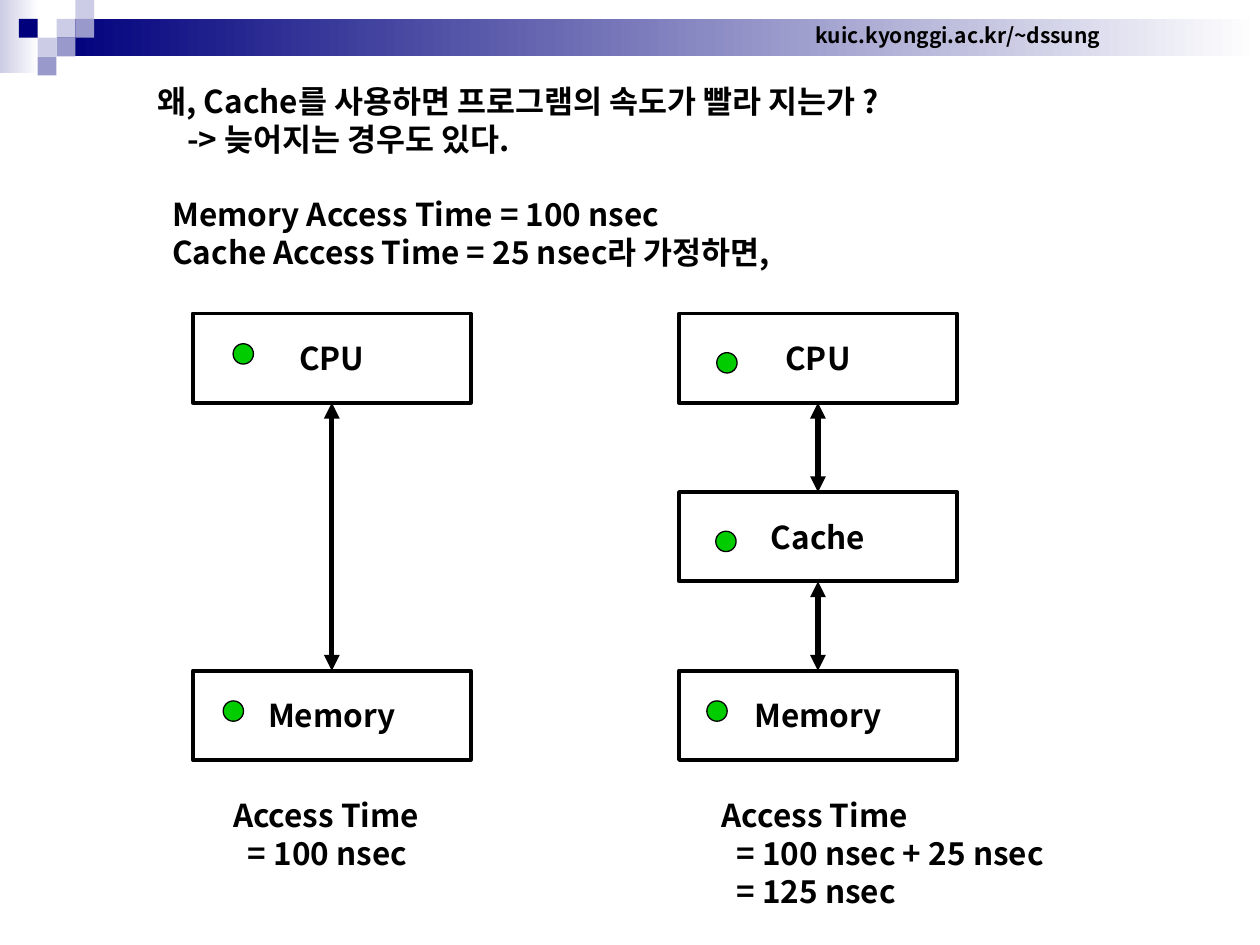
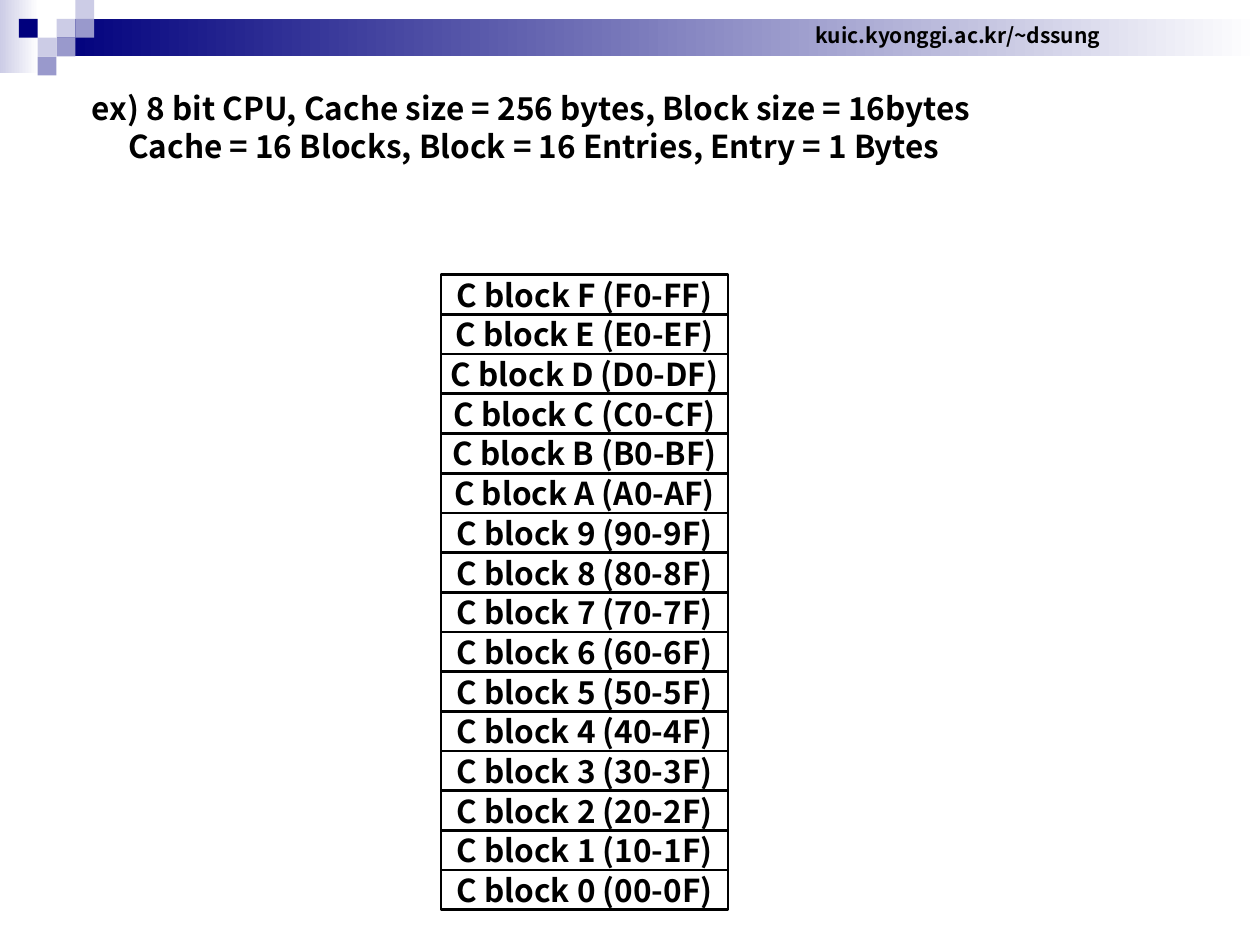
from lxml.etree import SubElement
from pptx import Presentation
from pptx.dml.color import RGBColor
from pptx.enum.shapes import MSO_CONNECTOR as LINK, MSO_SHAPE as KIND
from pptx.enum.text import MSO_ANCHOR as ANCHOR, MSO_AUTO_SIZE as AUTO, PP_ALIGN as ALIGN
from pptx.oxml.ns import qn
from pptx.util import Cm, Pt

BLACK = RGBColor(0x00, 0x00, 0x00)
WHITE = RGBColor(0xFF, 0xFF, 0xFF)
NAVY = RGBColor(0x00, 0x00, 0x7D)
LILAC = RGBColor(0xCC, 0xCC, 0xE6)
MAUVE = RGBColor(0x99, 0x99, 0xCC)
GREEN = RGBColor(0x00, 0xCC, 0x00)
FONT = "Noto Sans CJK KR"
GAP = 21.6
TILE = 0.38
NODE_H = 1.8


def write(frame, lines, size=18, align=ALIGN.LEFT):
    frame.word_wrap = False
    frame.auto_size = AUTO.NONE
    for i, (text, inset, before) in enumerate(lines):
        para = frame.paragraphs[0] if i == 0 else frame.add_paragraph()
        para.text = text
        para.alignment = align
        para.space_before = Pt(before)
        props = para._p.get_or_add_pPr()
        props.set("marL", str(Cm(inset)))
        props.set("indent", "0")
        SubElement(props, qn("a:buNone"))
        font = para.font
        font.size = Pt(size)
        font.bold = True
        font.color.rgb = BLACK
        font.name = FONT
        SubElement(props.find(qn("a:defRPr")), qn("a:ea"), typeface=FONT)


def add_shape(slide, kind, x, y, w, h, fill, line=0):
    shape = slide.shapes.add_shape(kind, Cm(x), Cm(y), Cm(w), Cm(h))
    shape.shadow.inherit = False
    if isinstance(fill, list):
        shape.fill.gradient()
        shape.fill.gradient_angle = 180
        for stop, color, at in zip(shape.fill.gradient_stops, fill, (0, 1)):
            stop.color.rgb = color
            stop.position = at
    else:
        shape.fill.solid()
        shape.fill.fore_color.rgb = fill
    if line:
        shape.line.color.rgb = BLACK
        shape.line.width = Pt(line)
    else:
        shape.line.fill.background()
    return shape


def add_node(slide, text, x, y, w, h, line):
    node = add_shape(slide, KIND.RECTANGLE, x, y, w, h, WHITE, line)
    node.text_frame.vertical_anchor = ANCHOR.MIDDLE
    write(node.text_frame, [(text, 0, 0)], align=ALIGN.CENTER)
    return node


def add_note(slide, x, y, w, h, lines, size=18, align=ALIGN.LEFT):
    note = slide.shapes.add_textbox(Cm(x), Cm(y), Cm(w), Cm(h))
    write(note.text_frame, lines, size, align)
    return note


def add_arrow(slide, top, low):
    arrow = slide.shapes.add_connector(LINK.STRAIGHT, 0, 0, 0, 0)
    arrow.begin_connect(top, 2)
    arrow.end_connect(low, 0)
    arrow.line.color.rgb = BLACK
    arrow.line.width = Pt(3)
    for end in ("headEnd", "tailEnd"):
        SubElement(arrow.line._get_or_add_ln(), qn("a:" + end), type="triangle")
    SubElement(arrow._element.spPr, qn("a:effectLst"))


def fill_holder(holder, x, y, w, h, lines):
    holder.left, holder.top, holder.width, holder.height = Cm(x), Cm(y), Cm(w), Cm(h)
    frame = holder.text_frame
    frame.vertical_anchor = ANCHOR.TOP
    frame.margin_top = frame.margin_bottom = 0
    write(frame, lines)


def add_head(slide, x, y, w, title, lines, body_h):
    fill_holder(slide.shapes.title, x, y, w, 0.76, [(title, 0, 0)])
    fill_holder(slide.placeholders[1], x, y + 0.76, w, body_h, lines)


def add_band(slide, layout):
    parts = [
        add_shape(slide, KIND.RECTANGLE, 0, 0, 0.78, 1.48, [WHITE, LILAC]),
        add_shape(slide, KIND.RECTANGLE, 1.14, 0.38, 24.26, 0.76, [WHITE, NAVY]),
    ]
    tiles = [(3, 1, LILAC), (4, 0, LILAC), (4, 1, MAUVE), (2, 2, LILAC),
             (1, 1, NAVY), (3, 2, MAUVE), (2, 3, MAUVE)]
    for col, row, color in tiles:
        parts.append(add_shape(slide, KIND.RECTANGLE, col * TILE, row * TILE,
                               TILE, TILE, color))
    link = add_note(slide, 16.18, 0.33, 6.27, 0.76,
                    [("kuic.kyonggi.ac.kr/~dssung", 0, 0)], 12, ALIGN.CENTER)
    link.text_frame.vertical_anchor = ANCHOR.MIDDLE
    tree = layout.shapes._spTree
    for i, part in enumerate(parts + [link]):
        part._element.nvSpPr.cNvPr.set("id", str(100 + i))
        tree.append(part._element)


def add_stack(slide, x, nodes):
    boxes = []
    for text, row, dot_x, dot_y in nodes:
        y = 6.32 + row * 2 * NODE_H
        boxes.append(add_node(slide, text, x, y, 5.6, NODE_H, 2.25))
        add_shape(slide, KIND.OVAL, x + dot_x, y + dot_y, 0.41, 0.41, GREEN, 0.75)
    for top, low in zip(boxes, boxes[1:]):
        add_arrow(slide, top, low)


def draw_speed(slide):
    add_head(slide, 2.92, 1.65, 15.75,
             "왜, Cache를 사용하면 프로그램의 속도가 빨라 지는가 ?",
             [("-> 늦어지는 경우도 있다.", 0.6, 0),
              ("Memory Access Time = 100 nsec", 0.3, GAP),
              ("Cache Access Time = 25 nsec라 가정하면,", 0.3, 0)], 3.05)
    add_stack(slide, 3.89, [("CPU", 0, 0.81, 0.61), ("Memory", 2, 0.61, 0.61)])
    add_stack(slide, 13.69, [("CPU", 0, 0.76, 0.79), ("Cache", 1, 0.74, 0.79),
                             ("Memory", 2, 0.56, 0.61)])
    add_note(slide, 4.45, 15.93, 4.32, 1.78,
             [("Access Time", 0, 0), ("= 100 nsec", 0.3, 0)])
    add_note(slide, 14.3, 15.93, 7.21, 2.54,
             [("Access Time", 0, 0), ("= 100 nsec + 25 nsec", 0.3, 0),
              ("= 125 nsec", 0.3, 0)])


def draw_blocks(slide):
    add_head(slide, 1.6, 1.8, 18.36,
             "ex) 8 bit CPU, Cache size = 256 bytes, Block size = 16bytes",
             [("Cache = 16 Blocks, Block = 16 Entries, Entry = 1 Bytes", 0.73, GAP)],
             1.52)
    for row, key in enumerate("FEDCBA9876543210"):
        add_node(slide, f"C block {key} ({key}0-{key}F)",
                 8.89, 5.54 + row * 0.8, 5.79, 0.8, 1.5)


def main():
    deck = Presentation()
    deck.slide_width, deck.slide_height = Cm(25.4), Cm(19.05)
    layout = deck.slide_layouts[1]
    speed, blocks = (deck.slides.add_slide(layout) for _ in range(2))
    add_band(speed, layout)
    draw_speed(speed)
    draw_blocks(blocks)
    deck.save("out.pptx")


if __name__ == "__main__":
    main()
